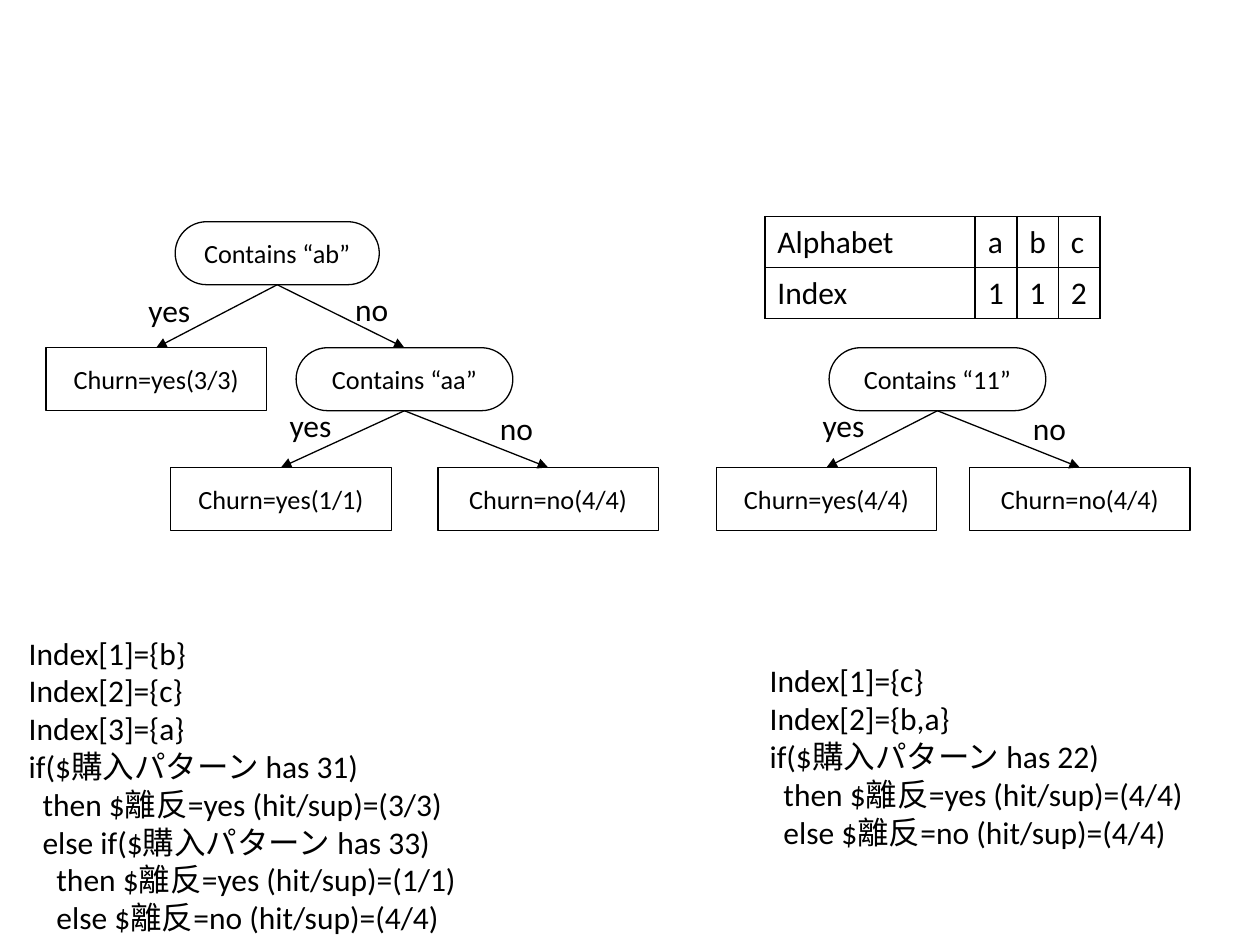
"""Build a slide that compares two churn decision trees and their alphabet indexes."""
from dataclasses import dataclass

from lxml import etree
from pptx import Presentation
from pptx.dml.color import RGBColor
from pptx.enum.shapes import MSO_CONNECTOR, MSO_SHAPE
from pptx.enum.text import MSO_ANCHOR, PP_ALIGN
from pptx.oxml.ns import qn
from pptx.util import Inches, Pt

ROUNDED = MSO_SHAPE.ROUNDED_RECTANGLE
STRAIGHT = MSO_CONNECTOR.STRAIGHT
MIDDLE, TOP = MSO_ANCHOR.MIDDLE, MSO_ANCHOR.TOP
LEFT, CENTER = PP_ALIGN.LEFT, PP_ALIGN.CENTER
TOP_SITE, BOTTOM_SITE = 0, 2
COLUMNS, ROWS = 100, 75


@dataclass(frozen=True)
class Theme:
    font: str = "Calibri"
    ink: RGBColor = RGBColor(0, 0, 0)
    node_size: int = 15
    text_size: int = 18
    line: float = 0.75
    border: float = 1
    indent: float = 0.11


def write(frame, text, theme, size, align=LEFT, anchor=TOP, wrap=True, levels=()):
    frame.word_wrap = wrap
    frame.vertical_anchor = anchor
    frame.text = text
    for paragraph in frame.paragraphs:
        paragraph.alignment = align
        paragraph.font.size = Pt(size)
        for run in paragraph.runs:
            run.font.name = theme.font
            run.font.size = Pt(size)
            run.font.color.rgb = theme.ink
    for paragraph, level in zip(frame.paragraphs, levels):
        properties = paragraph._p.get_or_add_pPr()
        properties.set("marL", "0")
        properties.set("indent", str(Inches(theme.indent * level)))


class Board:
    def __init__(self, deck, theme):
        self.theme = theme
        self.column = deck.slide_width / COLUMNS
        self.row = deck.slide_height / ROWS
        self.slide = deck.slides.add_slide(deck.slide_layouts[6])

    def place(self, left, top, width, height):
        return (round(left * self.column), round(top * self.row),
                round(width * self.column), round(height * self.row))

    def node(self, text, center, top, width, roundness):
        box = self.slide.shapes.add_shape(
            ROUNDED, *self.place(center - width / 2, top, width, 5))
        box.adjustments[0] = roundness
        box.shadow.inherit = False
        box.fill.background()
        box.line.color.rgb = self.theme.ink
        box.line.width = Pt(self.theme.line)
        write(box.text_frame, text, self.theme, self.theme.node_size,
              align=CENTER, anchor=MIDDLE)
        return box

    def question(self, text, center, top, width=17.2):
        return self.node(text, center, top, width, 0.5)

    def answer(self, text, center, top):
        return self.node(text, center, top, 17.5, 0)

    def text(self, text, left, top, width, height, **style):
        box = self.slide.shapes.add_textbox(*self.place(left, top, width, height))
        write(box.text_frame, text, self.theme, self.theme.text_size, **style)

    def branch(self, parent, child, label, left, top):
        arrow = self.slide.shapes.add_connector(STRAIGHT, 0, 0, 0, 0)
        arrow.begin_connect(parent, BOTTOM_SITE)
        arrow.end_connect(child, TOP_SITE)
        arrow.line.color.rgb = self.theme.ink
        arrow.line.width = Pt(self.theme.line)
        etree.SubElement(arrow.line._get_or_add_ln(), qn("a:tailEnd"), type="triangle")
        etree.SubElement(arrow._element.spPr, qn("a:effectLst"))
        width = 5.8 if label == "yes" else 4.7
        self.text(label, left, top, width, 4, wrap=False)

    def code(self, lines, left, top, width, height):
        self.text("\n".join(line for _, line in lines), left, top, width, height,
                  levels=[level for level, _ in lines])

    def table(self, rows, left, top, widths, row_height):
        grid = self.slide.shapes.add_table(
            len(rows), len(widths),
            *self.place(left, top, sum(widths), row_height * len(rows))).table
        grid.first_row = grid.horz_banding = False
        for column, width in zip(grid.columns, widths):
            column.width = round(width * self.column)
        for r, values in enumerate(rows):
            for c, value in enumerate(values):
                cell = grid.cell(r, c)
                cell.fill.background()
                write(cell.text_frame, value, self.theme, self.theme.text_size)
                self.outline(cell)

    def outline(self, cell):
        properties = cell._tc.get_or_add_tcPr()
        for position, side in enumerate(("lnL", "lnR", "lnT", "lnB")):
            edge = etree.Element(qn(f"a:{side}"), w=str(Pt(self.theme.border)))
            fill = etree.SubElement(edge, qn("a:solidFill"))
            etree.SubElement(fill, qn("a:srgbClr"), val=str(self.theme.ink))
            properties.insert(position, edge)


def main():
    deck = Presentation()
    deck.slide_width, deck.slide_height = Inches(10), Inches(7.5)
    board = Board(deck, Theme())
    first, second, third = 17.6, 27.6, 37.1

    contains_ab = board.question("Contains “ab”", 22, first, width=16.2)
    contains_aa = board.question("Contains “aa”", 32.1, second)
    contains_11 = board.question("Contains “11”", 74.4, second)
    churn_ab = board.answer("Churn=yes(3/3)", 12.4, second)
    churn_aa = board.answer("Churn=yes(1/1)", 22.3, third)
    stay_aa = board.answer("Churn=no(4/4)", 43.5, third)
    churn_11 = board.answer("Churn=yes(4/4)", 65.6, third)
    stay_11 = board.answer("Churn=no(4/4)", 85.7, third)

    for parent, child, label, left, top in (
        (contains_ab, churn_ab, "yes", 10.8, 22.6),
        (contains_ab, contains_aa, "no", 27.2, 22.5),
        (contains_aa, churn_aa, "yes", 22, 31.7),
        (contains_aa, stay_aa, "no", 38.7, 32),
        (contains_11, churn_11, "yes", 64.3, 31.7),
        (contains_11, stay_11, "no", 81, 32),
    ):
        board.branch(parent, child, label, left, top)

    board.table((("Alphabet", "a", "b", "c"), ("Index", "1", "1", "2")),
                60.7, 17.2, (16.7, 3.3, 3.3, 3.3), 4.05)

    board.code((
        (0, "Index[1]={b}"),
        (0, "Index[2]={c}"),
        (0, "Index[3]={a}"),
        (0, "if($購入パターン has 31)"),
        (1, "then $離反=yes (hit/sup)=(3/3)"),
        (1, "else if($購入パターン has 33)"),
        (2, "then $離反=yes (hit/sup)=(1/1)"),
        (2, "else $離反=no (hit/sup)=(4/4)"),
    ), 1.3, 49.8, 50, 25)
    board.code((
        (0, "Index[1]={c}"),
        (0, "Index[2]={b,a}"),
        (0, "if($購入パターン has 22)"),
        (1, "then $離反=yes (hit/sup)=(4/4)"),
        (1, "else $離反=no (hit/sup)=(4/4)"),
    ), 60.1, 52, 35.1, 22)

    deck.save("out.pptx")


if __name__ == "__main__":
    main()
